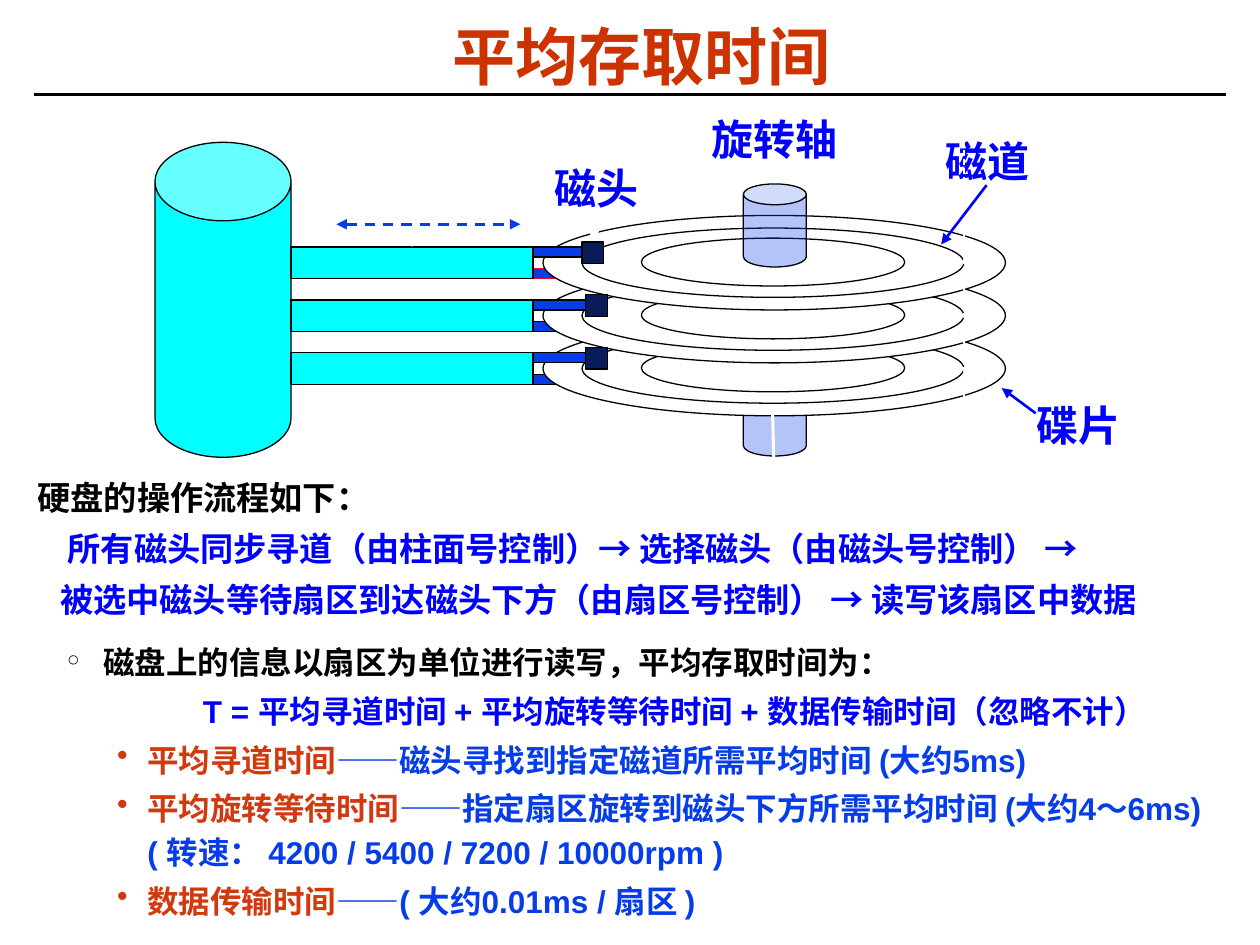
from dataclasses import dataclass
from lxml import etree
from pptx import Presentation, util as u
from pptx.dml.color import RGBColor
from pptx.enum import dml, shapes, text
from pptx.oxml.ns import qn

SCALE = 9144


@dataclass(frozen=True)
class Theme:
    font: str = "Arial"
    title: str = "CC3300"
    ink: str = "000000"
    paper: str = "FFFFFF"
    label: str = "0000FF"
    blue: str = "063DE8"
    term: str = "D1390F"
    arm: str = "00FFFF"
    head: str = "081D58"
    red: str = "FC0128"
    title_pt: int = 36
    label_pt: int = 24
    flow_pt: int = 19
    body_pt: int = 18


T = Theme()
MSO = shapes.MSO_SHAPE


def px(n):
    return u.Emu(n * SCALE)


def rgb(c):
    return RGBColor.from_string(c)


def add_text(s, x, y, w, h, mx=10, my=5):
    tf = s.shapes.add_textbox(px(x), px(y), px(w), px(h)).text_frame
    tf.word_wrap = True
    tf.auto_size = text.MSO_AUTO_SIZE.SHAPE_TO_FIT_TEXT
    tf.margin_left = tf.margin_right = px(mx)
    tf.margin_top = tf.margin_bottom = px(my)
    return tf


def style(r, size, color):
    r.font.name, r.font.size, r.font.bold = T.font, u.Pt(size), True
    r.font.color.rgb = rgb(color)


def add_paragraph(tf, first, runs, size, left=0, hang=0, bullet=None, level=0):
    p = tf.paragraphs[0] if first else tf.add_paragraph()
    p.line_spacing = 1.15
    p.level = level
    if not first:
        p.space_before = u.Pt(3)
    pPr = p._p.get_or_add_pPr()
    pPr.set("marL", str(px(left)))
    pPr.set("indent", str(px(-hang)))
    if bullet:
        etree.SubElement(pPr, qn("a:buChar"), char=bullet)
    for words, color in runs:
        r = p.add_run()
        r.text = words
        style(r, size, color)


def add_line(s, x1, y1, x2, y2, color, width, ends=(), dash=False):
    sp = s.shapes.add_connector(shapes.MSO_CONNECTOR.STRAIGHT, px(x1), px(y1), px(x2), px(y2))
    sp.line.color.rgb = rgb(color)
    sp.line.width = u.Pt(width)
    if dash:
        sp.line.dash_style = dml.MSO_LINE.DASH
    for end in ends:
        etree.SubElement(sp.line._get_or_add_ln(), qn(f"a:{end}"), type="triangle")
    etree.SubElement(sp._element.spPr, qn("a:effectLst"))


def add_part(s, kind, x, y, w, h, fill, line=T.ink, adj=None, alpha=None):
    sp = s.shapes.add_shape(kind, px(x), px(y), px(w), px(h))
    sp.shadow.inherit = False
    sp.fill.solid()
    sp.fill.fore_color.rgb = rgb(fill)
    sp.line.color.rgb = rgb(line)
    sp.line.width = u.Pt(0.75)
    if adj:
        sp.adjustments[0] = adj
    if alpha:
        clr = sp._element.spPr.find(qn("a:solidFill"))[0]
        etree.SubElement(clr, qn("a:alpha"), val=str(alpha * 1000))


def title(s, x, y, w, h):
    tf = add_text(s, x, y, w, h, 7, 3)
    p = tf.paragraphs[0]
    p.text = "平均存取时间"
    p.alignment = text.PP_ALIGN.CENTER
    p.line_spacing = 0.87
    style(p.runs[0], T.title_pt, T.title)


def platter(s, x, y):
    for dx, dy, w, h in [(0, 0, 367, 75), (31, 10, 303, 55), (78, 18, 209, 38)]:
        add_part(s, MSO.OVAL, x + dx, y + dy, w, h, T.paper)


def shaft(s, x, y):
    add_part(s, MSO.CAN, x, y, 50, 66, T.blue, adj=0.331, alpha=30)


def arm(s, x, y, head_x):
    add_part(s, MSO.RECTANGLE, x, y, 192, 25, T.arm)
    add_part(s, MSO.RECTANGLE, x + 192, y, 42, 8, T.blue)
    add_part(s, MSO.RECTANGLE, x + head_x, y - 4, 17, 17, T.head)


def label(s, words, x, y, w):
    p = add_text(s, x, y, w, 50).paragraphs[0]
    p.text = words
    p.alignment = text.PP_ALIGN.CENTER
    style(p.runs[0], T.label_pt, T.label)


def disk_drive(s, x, y):
    pitch = 42
    shaft(s, x + 470, y + 216)
    for i in (2, 1, 0):
        add_part(s, MSO.RECTANGLE, x + 303, y + 133 + pitch * i, 42, 8, T.blue,
                 T.ink if i else T.red)
    for i in (2, 1, 0):
        platter(s, x + 311, y + 91 + pitch * i)
    add_part(s, MSO.CAN, x + 3, y + 33, 108, 250, T.arm, adj=0.577)
    for i, head_x in enumerate((231, 234, 234)):
        arm(s, x + 111, y + 116 + pitch * i, head_x)
    shaft(s, x + 470, y + 66)

    for words, dx, dy, w in [("磁头", 270, 44, 167), ("磁道", 592, 23, 144),
                             ("旋转轴", 411, 5, 167), ("碟片", 667, 232, 138)]:
        label(s, words, x + dx, y + dy, w)

    tail, both = ("tailEnd",), ("headEnd", "tailEnd")
    for x1, y1, x2, y2, color, width, ends, dash in [
        (645, 25, 645, 325, T.paper, 0.75, (), True),
        (353, 94, 350, 111, T.paper, 1.75, tail, False),
        (203, 58, 207, 116, T.paper, 1.75, tail, False),
        (495, 55, 495, 66, T.paper, 1.75, tail, False),
        (495, 320, 493, 241, T.paper, 1.75, tail, False),
        (702, 248, 675, 228, T.label, 1.5, tail, False),
        (663, 67, 627, 114, T.label, 1.5, tail, False),
        (147, 98, 293, 98, T.blue, 1.5, both, True),
    ]:
        add_line(s, x + x1, y + y1, x + x2, y + y2, color, width, ends, dash)


def workflow(s, x, y, w, h):
    tf = add_text(s, x, y, w, h)
    for i, (words, color, left) in enumerate([
        ("硬盘的操作流程如下：", T.ink, 0),
        ("所有磁头同步寻道（由柱面号控制）→ 选择磁头（由磁头号控制） →", T.label, 24),
        ("被选中磁头等待扇区到达磁头下方（由扇区号控制） → 读写该扇区中数据", T.label, 18),
    ]):
        add_paragraph(tf, i == 0, [(words, color)], T.flow_pt, left)


def access_time(s, x, y, w, h):
    tf = add_text(s, x, y, w, h, 7, 3)
    add_paragraph(tf, True, [("磁盘上的信息以扇区为单位进行读写，平均存取时间为：", T.ink)],
                  T.body_pt, 29, 29, "°")
    add_paragraph(tf, False, [("T = 平均寻道时间 + 平均旋转等待时间 + 数据传输时间（忽略不计）", T.label)],
                  T.body_pt, 108)
    for term, meaning in [
        ("平均寻道时间", "——磁头寻找到指定磁道所需平均时间 (大约5ms)"),
        ("平均旋转等待时间", "——指定扇区旋转到磁头下方所需平均时间 (大约4～6ms)  ( 转速： 4200 / 5400 / 7200 / 10000rpm )"),
        ("数据传输时间", "——( 大约0.01ms / 扇区 )"),
    ]:
        add_paragraph(tf, False, [(term, T.term), (meaning, T.blue)], T.body_pt, 64, 24, "•", 1)


def main():
    prs = Presentation()
    prs.slide_width, prs.slide_height = px(1000), px(750)
    s = prs.slides.add_slide(prs.slide_layouts[6])
    add_line(s, 27, 75, 973, 75, T.ink, 1.5)
    title(s, 53, 19, 912, 46)
    access_time(s, 46, 503, 929, 231)
    disk_drive(s, 120, 80)
    workflow(s, 20, 369, 943, 128)
    prs.save("out.pptx")


if __name__ == "__main__":
    main()
